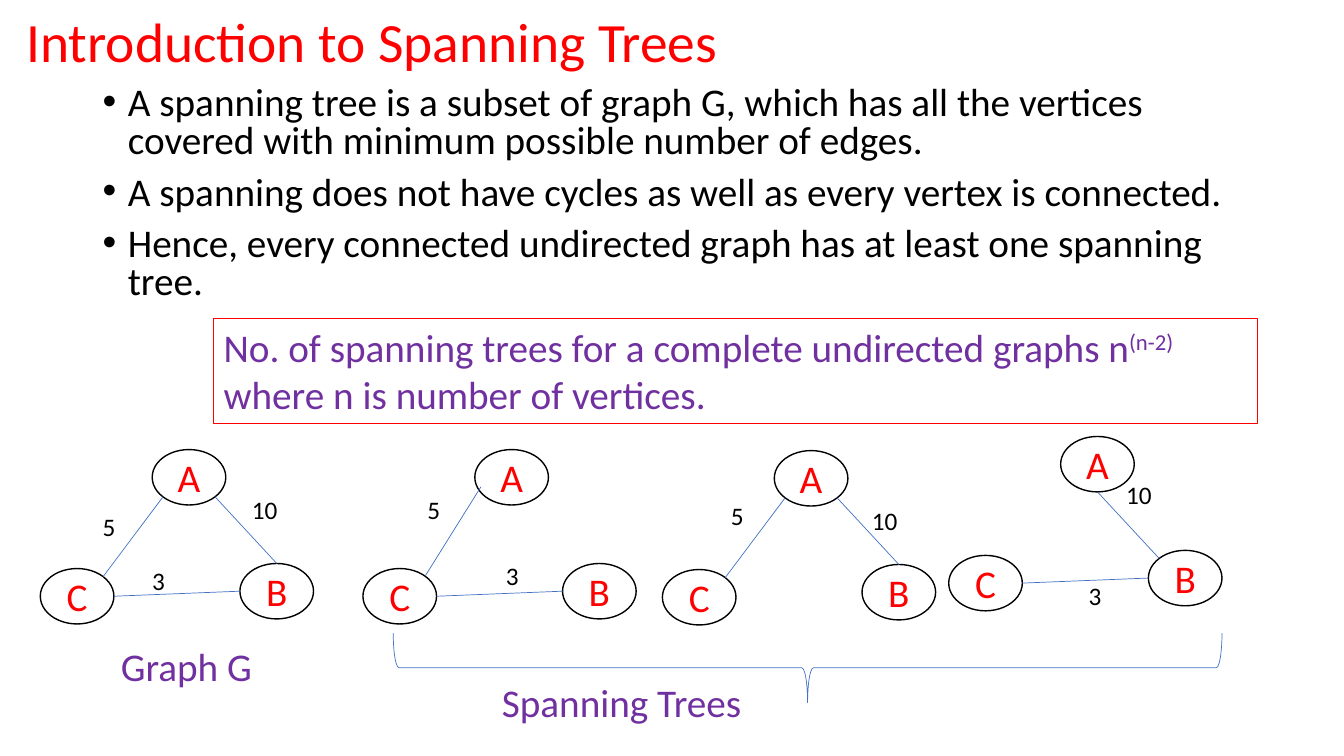
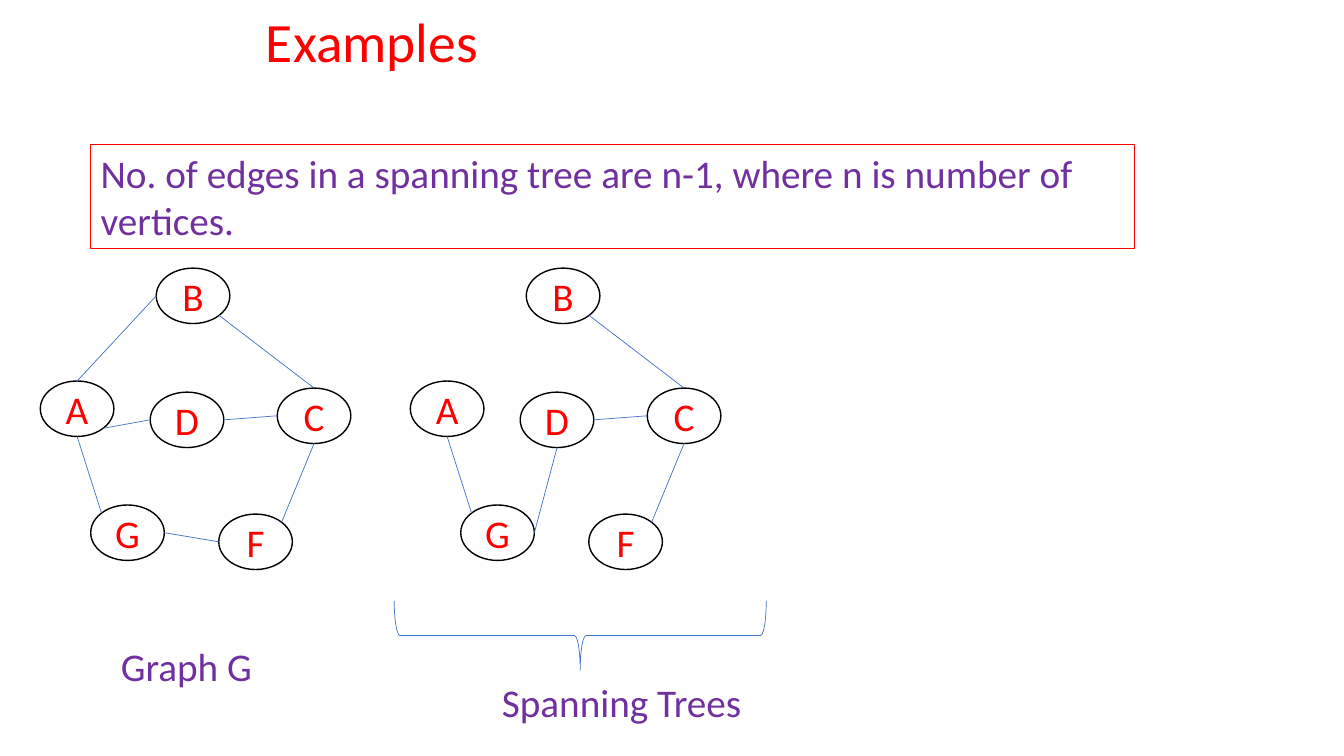
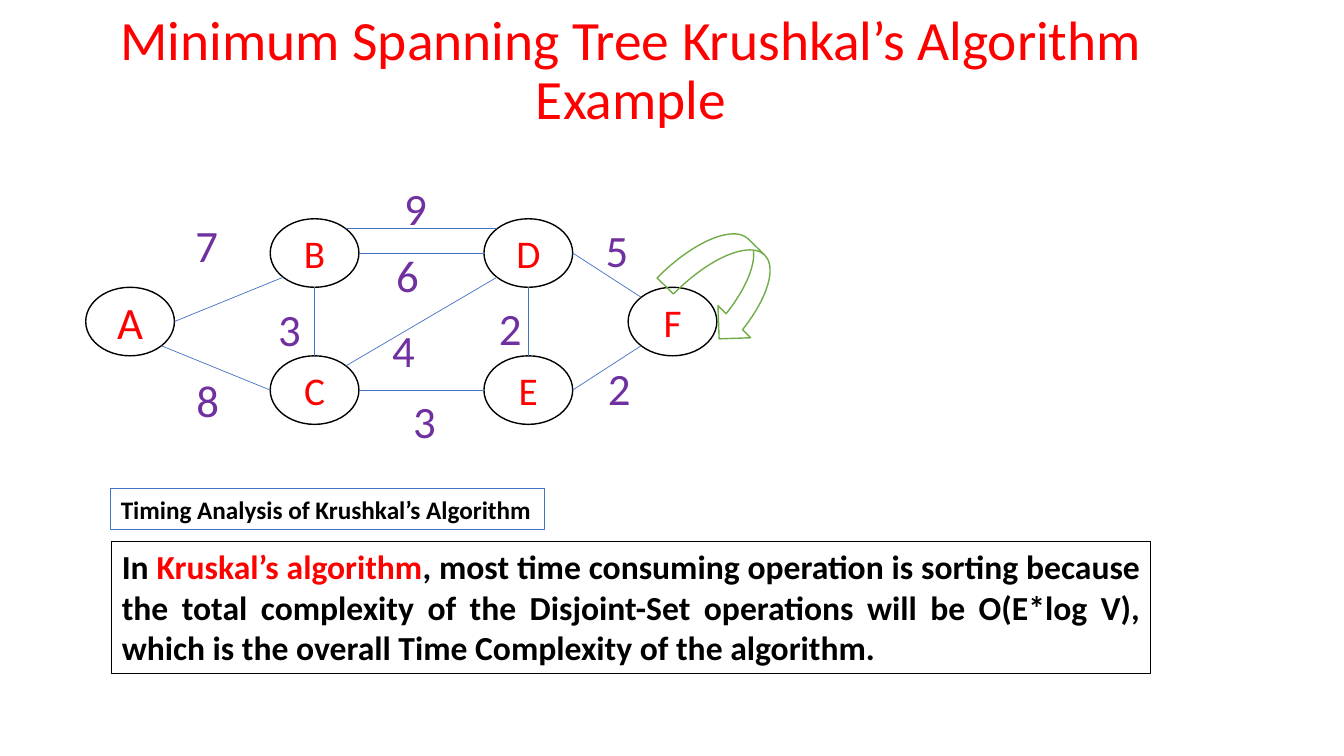
import math

import pptx
import pptx.dml.color
import pptx.enum.shapes
import pptx.enum.text
import pptx.oxml
import pptx.oxml.ns
import pptx.util
from pptx.util import Inches

RED, PURPLE, BLACK = "FF0000", "7030A0", "000000"
BLUE, GREEN, WHITE = "4472C4", "70AD47", "FFFFFF"

SHAPES = pptx.enum.shapes.MSO_SHAPE
ALIGN = pptx.enum.text.PP_ALIGN
ANCHOR = pptx.enum.text.MSO_ANCHOR
AUTO_SIZE = pptx.enum.text.MSO_AUTO_SIZE

DIAGONAL = math.sqrt(0.5)
# Direction from the centre of an ellipse to each point where an edge may end
SITES = {
    "n": (0, -1), "s": (0, 1), "w": (-1, 0), "e": (1, 0),
    "nw": (-DIAGONAL, -DIAGONAL), "ne": (DIAGONAL, -DIAGONAL),
    "sw": (-DIAGONAL, DIAGONAL), "se": (DIAGONAL, DIAGONAL),
}


def color(value):
    return pptx.dml.color.RGBColor.from_string(value)


class Deck:
    """Holds the shared style and the slide being filled; lengths are inches."""

    font_name = "Calibri"
    title_size = 39.6
    text_size = 28

    def __init__(self):
        self.presentation = pptx.Presentation()
        self.presentation.slide_width = Inches(13.33)
        self.presentation.slide_height = Inches(7.5)
        self.slide = None

    def style_font(self, font, size, hex_color, bold=False):
        font.name = self.font_name
        font.size = pptx.util.Pt(size)
        font.bold = bold
        font.color.rgb = color(hex_color)

    def new_slide(self, title, left=0.1, top=0.07, width=7.18, height=0.74):
        self.slide = self.presentation.slides.add_slide(self.presentation.slide_layouts[5])
        self.slide.background.fill.solid()
        self.slide.background.fill.fore_color.rgb = color(WHITE)
        shape = self.slide.shapes.title
        shape.left, shape.top = Inches(left), Inches(top)
        shape.width, shape.height = Inches(width), Inches(height)
        frame = shape.text_frame
        frame.word_wrap = True
        frame.auto_size = AUTO_SIZE.NONE
        frame.vertical_anchor = ANCHOR.MIDDLE
        paragraph = frame.paragraphs[0]
        paragraph.alignment = ALIGN.CENTER
        paragraph.line_spacing = 0.9
        run = paragraph.add_run()
        run.text = title
        self.style_font(run.font, self.title_size, RED)

    def text(self, left, top, width, height, runs, size=text_size, hex_color=PURPLE,
             border=None, bold=False, wrap=True, alignment=ALIGN.LEFT):
        """Add a text box; each run is (text, changes), with changes 'color' or 'baseline'."""
        box = self.slide.shapes.add_textbox(
            Inches(left), Inches(top), Inches(width), Inches(height))
        if border:
            box.line.color.rgb = color(border)
            box.line.width = pptx.util.Pt(0.75)
        frame = box.text_frame
        frame.word_wrap = wrap
        frame.auto_size = AUTO_SIZE.SHAPE_TO_FIT_TEXT
        paragraph = frame.paragraphs[0]
        paragraph.alignment = alignment
        for words, changes in runs:
            run = paragraph.add_run()
            run.text = words
            self.style_font(run.font, size, changes.get("color", hex_color), bold)
            if "baseline" in changes:
                run._r.get_or_add_rPr().set("baseline", str(changes["baseline"]))

    def label(self, left, top, words, width=0.44, height=0.4, size=18,
              hex_color=BLACK, wrap=True):
        self.text(left, top, width, height, [(words, {})], size, hex_color, wrap=wrap)

    def bullets(self, left, top, width, height, items):
        box = self.slide.shapes.add_textbox(
            Inches(left), Inches(top), Inches(width), Inches(height))
        frame = box.text_frame
        frame.word_wrap = True
        for index, item in enumerate(items):
            paragraph = frame.add_paragraph() if index else frame.paragraphs[0]
            properties = paragraph._p.get_or_add_pPr()
            properties.set("marL", str(Inches(0.25)))
            properties.set("indent", str(-Inches(0.25)))
            for tag, attribute, value in (("a:buFont", "typeface", "Arial"),
                                          ("a:buChar", "char", "•")):
                element = pptx.oxml.parse_xml(
                    f'<{tag} {pptx.oxml.ns.nsdecls("a")} {attribute}="{value}"/>')
                properties.append(element)
            paragraph.line_spacing = 0.8
            paragraph.space_before = pptx.util.Pt(10 if index else 0)
            run = paragraph.add_run()
            run.text = item
            self.style_font(run.font, self.text_size, BLACK)

    def outline(self, preset, left, top, width, height, hex_color, line_width, rotation=0):
        shape = self.slide.shapes.add_shape(
            preset, Inches(left), Inches(top), Inches(width), Inches(height))
        shape.shadow.inherit = False
        shape.fill.background()
        shape.line.color.rgb = color(hex_color)
        shape.line.width = pptx.util.Pt(line_width)
        shape.rotation = rotation
        return shape

    def brace(self, left, top, width, height=0.69):
        """Add a brace opening upwards; the frame is given as it shows, after turning."""
        shift = (width - height) / 2
        self.outline(SHAPES.LEFT_BRACE, left + shift, top - shift, height, width,
                     BLUE, 0.5, 270)

    def line(self, begin, end):
        connector = self.slide.shapes.add_connector(
            pptx.enum.shapes.MSO_CONNECTOR.STRAIGHT,
            *(Inches(length) for length in (*begin, *end)))
        connector.line.color.rgb = color(BLUE)
        connector.line.width = pptx.util.Pt(0.5)
        connector._element.spPr.append(
            pptx.oxml.parse_xml(f'<a:effectLst {pptx.oxml.ns.nsdecls("a")}/>'))

    def graph(self, nodes, edges, left=0, top=0, width=0.73, height=0.55, sizes=None):
        """Draw named ellipses at {name: (x, y)} and edges such as 'A.sw C.ne'."""
        for name, (x, y) in nodes.items():
            shape = self.outline(SHAPES.OVAL, left + x, top + y, width, height, BLACK, 1)
            frame = shape.text_frame
            frame.vertical_anchor = ANCHOR.MIDDLE
            paragraph = frame.paragraphs[0]
            paragraph.alignment = ALIGN.CENTER
            run = paragraph.add_run()
            run.text = name
            self.style_font(run.font, (sizes or {}).get(name, self.text_size), RED)

        def point(end):
            name, site = end.split(".")
            x, y = nodes[name]
            across, down = SITES[site]
            return (left + x + width / 2 * (1 + across),
                    top + y + height / 2 * (1 + down))

        for edge in edges:
            begin, end = edge.split()
            self.line(point(begin), point(end))

    def captions(self):
        for left, top, width, words in ((1.1, 6.32, 1.52, "Graph G"),
                                        (4.88, 6.68, 2.6, "Spanning Trees")):
            self.label(left, top, words, width, 0.57, self.text_size, PURPLE, wrap=False)


def introduction(deck):
    deck.new_slide("Introduction to Spanning Trees")
    deck.bullets(0.92, 0.81, 11.5, 2.28, [
        "A spanning tree is a subset of graph G, which has all the vertices covered "
        "with minimum possible number of edges.",
        "A spanning does not have cycles as well as every vertex is connected.",
        "Hence, every connected undirected graph has at least one spanning tree.",
    ])
    deck.text(2.12, 3.16, 10.35, 1.04, [
        ("No. of spanning trees for a complete undirected graphs n", {}),
        ("(n-2) ", {"baseline": 30000}),
        ("where n is number of vertices.", {}),
    ], border=RED)

    triangle = {"A": (1.11, 0), "C": (0, 1.18), "B": (1.98, 1.13)}
    side_ac, side_ab, side_bc = "A.sw C.ne", "A.se B.n", "B.w C.e"
    for left, top, edges in (
            (0.4, 4.46, [side_ac, side_ab, side_bc]),
            (3.6, 4.46, [side_bc]),
            (6.57, 4.47, [side_ac, side_ab]),
            (9.41, 4.33, ["A.s B.nw", side_bc])):
        deck.graph(triangle, edges, left, top)
    deck.line((4.77, 4.83), (4.22, 5.71))

    for left, top, weight in (
            (0.92, 5.02, "5"), (2.4, 4.86, "10"), (1.41, 5.56, "3"),
            (4.14, 4.85, "5"), (4.92, 5.51, "3"),
            (7.15, 4.91, "5"), (8.55, 4.96, "10"),
            (11.07, 4.71, "10"), (10.7, 5.71, "3")):
        deck.label(left, top, weight, width=0.62 if len(weight) > 1 else 0.44)
    deck.brace(3.9, 6.28, 8.22)
    deck.captions()


def examples(deck):
    deck.new_slide("Examples")
    deck.text(0.9, 1.43, 10.35, 1.04, [
        ("No. of edges in a spanning tree are n-1, where n is number of vertices.", {}),
    ], border=RED)
    nodes = {"A": (0.4, 3.78), "B": (1.55, 2.66), "C": (2.75, 3.85),
             "D": (1.49, 3.89), "F": (2.17, 5.1), "G": (0.9, 5.01)}
    shared_edges = ["B.se C.n", "A.s G.nw", "C.s F.ne", "D.e C.w"]
    deck.graph(nodes, shared_edges + ["A.n B.w", "F.w G.e", "A.se D.w"])
    deck.graph(nodes, shared_edges + ["D.s G.e"], left=3.67)
    deck.brace(3.91, 5.96, 3.69)
    deck.captions()


def kruskal(deck):
    deck.new_slide("Minimum Spanning Tree Krushkal’s Algorithm Example",
                   0.27, 0.17, 11.98, 1.09)
    upper, middle, lower = 2.17, 2.85, 3.53
    nodes = {"A": (0.85, middle), "B": (2.68, upper), "C": (2.68, lower),
             "D": (4.8, upper), "E": (4.8, lower), "F": (6.23, middle)}
    edges = ["A.e B.sw", "A.se C.w", "C.ne D.sw", "B.e D.w", "C.e E.w", "E.n D.s",
             "D.e F.nw", "E.e F.sw", "B.ne D.nw", "C.n B.s"]
    deck.graph(nodes, edges, width=0.88, height=0.68, sizes={"A": 32})
    for left, top, weight in (
            (1.84, 2.11, "7"), (1.85, 3.65, "8"), (3.91, 1.74, "9"), (3.83, 2.41, "6"),
            (3.79, 3.15, "4"), (4, 3.86, "3"), (2.66, 2.94, "3"), (4.85, 2.93, "2"),
            (5.91, 2.16, "5"), (5.93, 3.53, "2")):
        deck.label(left, top, weight, 0.43, 0.64, 32, PURPLE, wrap=False)
    deck.outline(SHAPES.CURVED_LEFT_ARROW, 6.77, 2.27, 0.91, 1.09, GREEN, 1, 314.5)

    deck.text(1.1, 4.85, 4.3, 0.4, [("Timing Analysis of Krushkal’s Algorithm", {})],
              18, BLACK, border=BLUE, bold=True, wrap=False)
    deck.text(1.11, 5.37, 10.3, 1.31, [
        ("In ", {}),
        ("Kruskal’s algorithm", {"color": RED}),
        (", most time consuming operation is sorting because the total complexity of "
         "the Disjoint-Set operations will be O(E*log V), which is the overall Time "
         "Complexity of the algorithm.", {}),
    ], 24, BLACK, border=BLACK, bold=True, alignment=ALIGN.JUSTIFY)


def main():
    deck = Deck()
    introduction(deck)
    examples(deck)
    kruskal(deck)
    deck.presentation.save("out.pptx")


if __name__ == "__main__":
    main()
